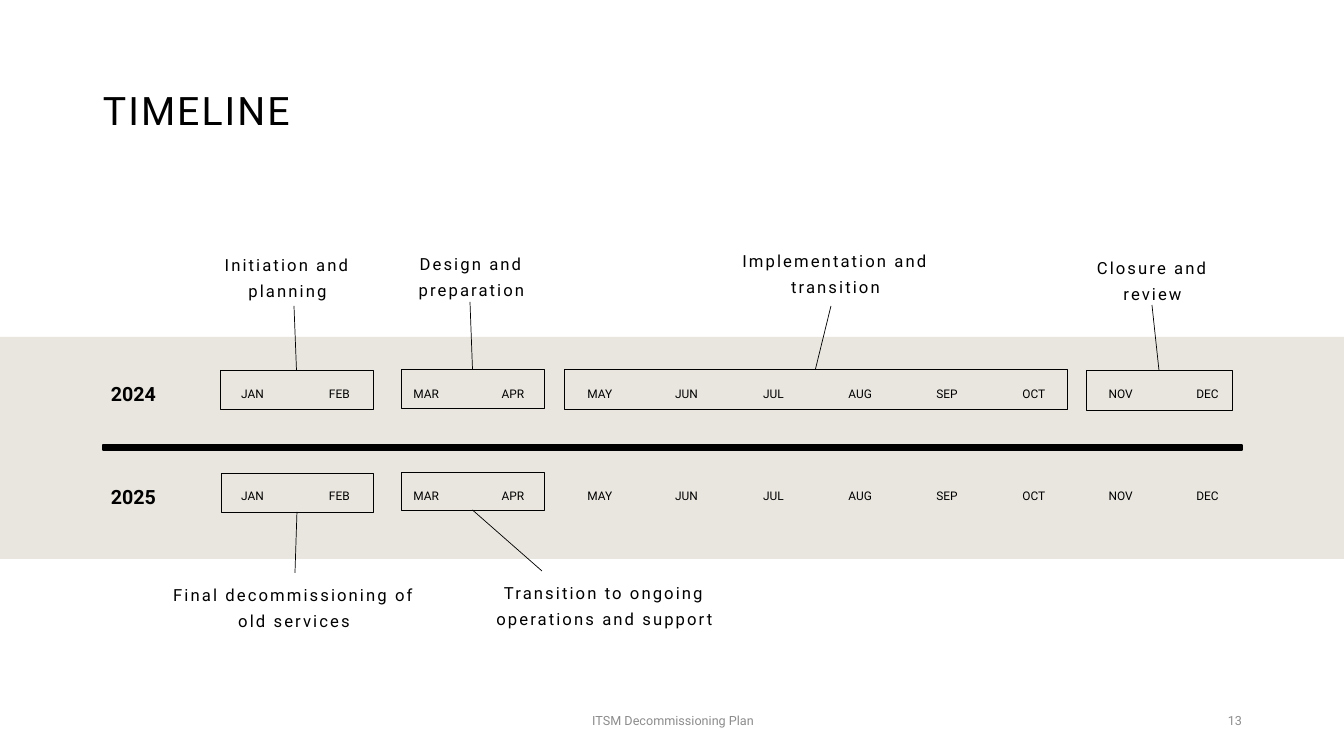
from lxml.etree import SubElement
from pptx import Presentation
from pptx.dml.color import RGBColor
from pptx.enum.shapes import MSO_CONNECTOR, MSO_SHAPE
from pptx.enum.text import MSO_ANCHOR as Anchor, PP_ALIGN as Align
from pptx.oxml.ns import qn
from pptx.util import Emu, Pt

FONT = "Roboto"
COLOURS = {"ink": "000000", "band": "E9E6DF", "footer": "8C8C8C"}
PAGE = (1344, 756)
PX = 914400 / 100.8

MONTHS = ["JAN", "FEB", "MAR", "APR", "MAY", "JUN",
          "JUL", "AUG", "SEP", "OCT", "NOV", "DEC"]
YEARS = [("2024", 370, 386), ("2025", 473, 488)]
FIRST_MONTH, LAST_MONTH = 217, 1172

BAND = (0, 337, 1344, 222)
DIVIDER = (103, 445, 1139, 5)

TOP, BOTTOM = 0, 2
PHASES = [
    ("Initiation and planning", (174, 245, 227, 61), (294, 306), (220, 370, 153, 39), TOP),
    ("Design and preparation", (358, 244, 227, 61), (470, 302), (401, 369, 143, 39), TOP),
    ("Implementation and transition", (722, 241, 227, 61), (831, 306), (564, 369, 503, 40), TOP),
    ("Closure and review", (1066, 245, 173, 64), (1152, 305), (1086, 370, 146, 40), TOP),
    ("Final decommissioning of old services", (156, 574, 276, 61), (295, 573),
     (221, 473, 152, 39), BOTTOM),
    ("Transition to ongoing operations and support", (476, 572, 257, 60), (542, 571),
     (401, 472, 143, 38), BOTTOM),
]

FORMATS = {
    "title": {
        "font": {"size": Pt(28)}, "para": {"line_spacing": 0.9},
        "anchor": Anchor.MIDDLE, "tracking": 150},
    "year": {
        "font": {"size": Pt(14), "bold": True},
        "para": {"line_spacing": 0.9, "space_before": Pt(10)}, "anchor": Anchor.MIDDLE},
    "month": {
        "font": {"size": Pt(8.5)},
        "para": {"line_spacing": 0.7, "space_before": Pt(10), "alignment": Align.CENTER}},
    "phase": {
        "font": {"size": Pt(11.9)},
        "para": {"line_spacing": 1.3, "space_before": Pt(10), "alignment": Align.CENTER},
        "tracking": 150},
    "footer": {
        "font": {"size": Pt(9)}, "para": {"alignment": Align.CENTER},
        "anchor": Anchor.MIDDLE, "colour": "footer"},
    "number": {
        "font": {"size": Pt(9)}, "para": {"alignment": Align.RIGHT},
        "anchor": Anchor.MIDDLE, "colour": "footer"},
}


def emu(lengths):
    return [Emu(round(length * PX)) for length in lengths]


def colour(name):
    return RGBColor.from_string(COLOURS[name])


def set_values(target, values):
    for name, value in values.items():
        setattr(target, name, value)


def add_text(page, text, area, style, anchor=Anchor.TOP):
    look = FORMATS[style]
    box = page.shapes.add_textbox(*emu(area))
    frame = box.text_frame
    set_values(frame, {"word_wrap": True, "vertical_anchor": look.get("anchor", anchor)})
    para = frame.paragraphs[0]
    set_values(para, look["para"])
    span = para.add_run()
    span.text = text
    set_values(span.font, {"name": FONT, **look["font"]})
    span.font.color.rgb = colour(look.get("colour", "ink"))
    if "tracking" in look:
        span.font._element.set("spc", str(look["tracking"]))


def add_rectangle(page, area, fill=None, line=None, weight=0.5):
    shape = page.shapes.add_shape(MSO_SHAPE.RECTANGLE, *emu(area))
    shape.shadow.inherit = False
    if fill:
        shape.fill.solid()
        shape.fill.fore_color.rgb = colour(fill)
    else:
        shape.fill.background()
    if line:
        shape.line.color.rgb = colour(line)
        shape.line.width = Pt(weight)
    else:
        shape.line.fill.background()
    return shape


def add_phase(page, label, label_area, start, frame_area, side):
    add_text(page, label, label_area, "phase", Anchor.BOTTOM if side == TOP else Anchor.TOP)
    frame = add_rectangle(page, frame_area, line="ink")
    leader = page.shapes.add_connector(MSO_CONNECTOR.STRAIGHT, *emu(start + start))
    leader.end_connect(frame, side)
    leader.line.color.rgb = colour("ink")
    leader.line.width = Pt(0.5)
    SubElement(leader._element.spPr, qn("a:effectLst"))


def main():
    deck = Presentation()
    deck.slide_width, deck.slide_height = emu(PAGE)
    page = deck.slides.add_slide(deck.slide_layouts[6])

    add_rectangle(page, BAND, fill="band")
    add_rectangle(page, DIVIDER, fill="ink", line="ink", weight=1)
    add_text(page, "TIMELINE", (93, 40, 1159, 146), "title")

    month_step = (LAST_MONTH - FIRST_MONTH) / (len(MONTHS) - 1)
    for year, year_top, month_top in YEARS:
        add_text(page, year, (101, year_top, 81, 50), "year")
        for index, month in enumerate(MONTHS):
            left = FIRST_MONTH + index * month_step
            add_text(page, month, (left, month_top, 71, 22), "month")

    for phase in PHASES:
        add_phase(page, *phase)

    add_text(page, "ITSM Decommissioning Plan", (446, 701, 454, 40), "footer")
    add_text(page, "13", (950, 701, 302, 40), "number")
    deck.save("out.pptx")


if __name__ == "__main__":
    main()
